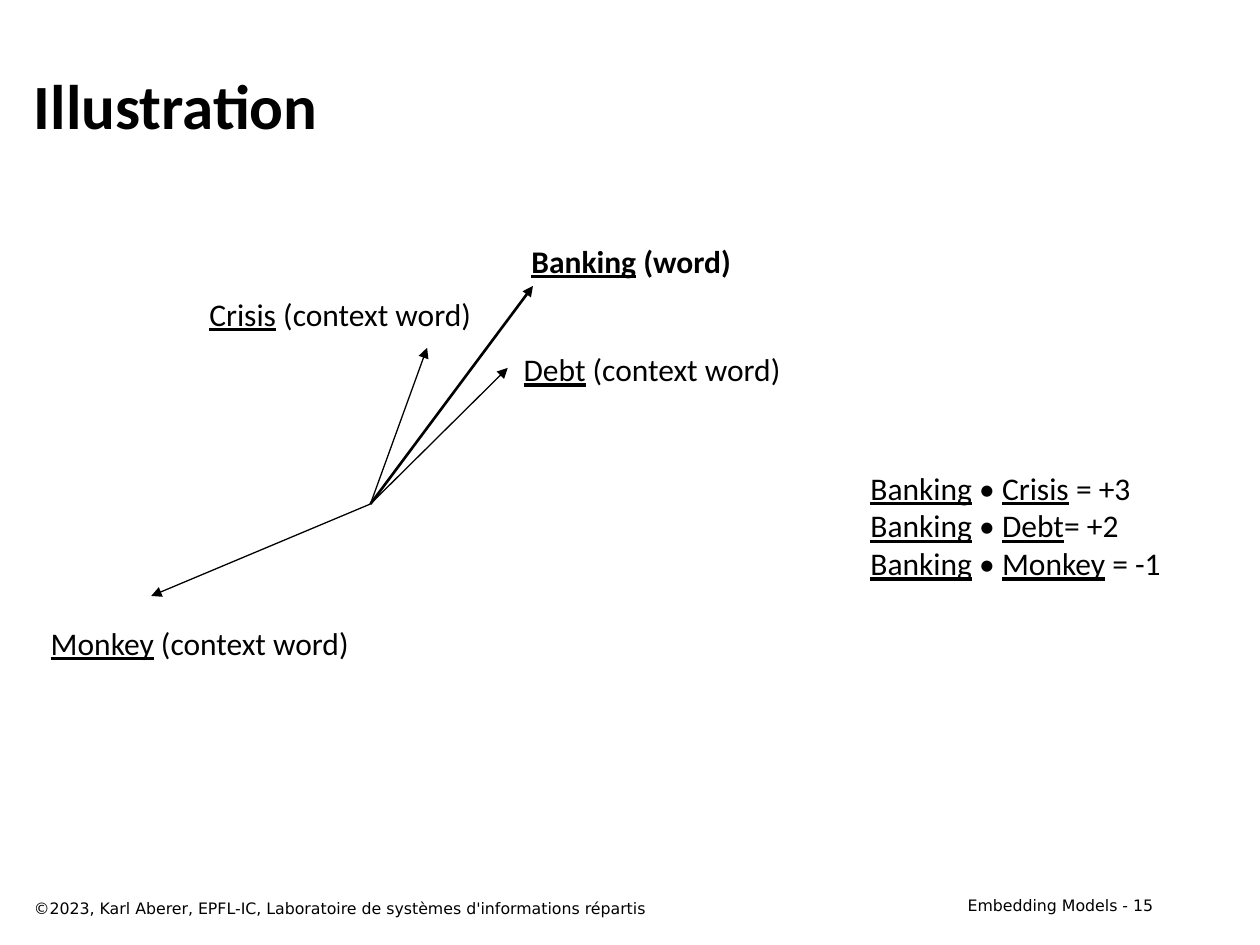
from collections import namedtuple

from lxml import etree
from pptx import Presentation
from pptx import util as u
from pptx.dml.color import RGBColor
from pptx.enum import shapes, text
from pptx.oxml.ns import qn

COLORS = {"ink": "000000", "paper": "FFFFFF"}
HEADING_FONT, FOOTER_FONT = "Calibri", "DejaVu Sans"
COLUMNS, ROWS = 100, 75
CELL = u.Inches(10) // COLUMNS

Box = namedtuple("Box", "left top width height")
Vector = namedtuple("Vector", "word role tip label weight bold")

VECTORS = [
    Vector("Banking", " (word)", (42.3, 4.7), Box(41.1, 0.7, 18, 4), 1.5, True),
    Vector("Debt", " (context word)", (40.3, 11.2), Box(40.4, 9.3, 22.7, 4), 0.75, False),
    Vector("Crisis", " (context word)", (33.9, 9.6), Box(15.5, 4.9, 23, 4), 0.75, False),
    Vector("Monkey", " (context word)", (12, 29.3), Box(2.9, 31, 25.9, 4), 0.75, False),
]
PRODUCTS = [("Crisis", " = +3"), ("Debt", "= +2"), ("Monkey", " = -1")]


def cells(*counts):
    return [u.Emu(round(count * CELL)) for count in counts]


def style(font, size, name=HEADING_FONT, bold=False):
    font.size = u.Pt(size)
    font.name = name
    font.bold = bold
    font.color.rgb = RGBColor.from_string(COLORS["ink"])


def add_text_box(page, box, wrap=True):
    frame = page.shapes.add_textbox(*cells(*box)).text_frame
    frame.word_wrap = wrap
    return frame


def add_line_of_text(page, box, words, size, name=HEADING_FONT, bold=False,
                     align=text.PP_ALIGN.LEFT, anchor=text.MSO_ANCHOR.TOP):
    frame = add_text_box(page, box)
    frame.text = words
    frame.vertical_anchor = anchor
    para = frame.paragraphs[0]
    para.alignment = align
    style(para.runs[0].font, size, name, bold)


def fill_underlined(para, parts, bold=False):
    for index, part in enumerate(parts):
        span = para.add_run()
        span.text = part
        style(span.font, 18, bold=bold)
        span.font.underline = index % 2 == 0


def add_arrow(page, start, tip, weight):
    arrow = page.shapes.add_connector(shapes.MSO_CONNECTOR.STRAIGHT, *cells(*start, *tip))
    arrow.line.color.rgb = RGBColor.from_string(COLORS["ink"])
    arrow.line.width = u.Pt(weight)
    etree.SubElement(arrow.line._get_or_add_ln(), qn("a:tailEnd"), type="triangle")
    etree.SubElement(arrow._element.spPr, qn("a:effectLst"))


def add_vector_diagram(page, box):
    origin = (box.left + 29.4, box.top + 22)
    for vector in VECTORS:
        tip = (box.left + vector.tip[0], box.top + vector.tip[1])
        add_arrow(page, origin, tip, vector.weight)
        label = vector.label._replace(left=box.left + vector.label.left,
                                      top=box.top + vector.label.top)
        para = add_text_box(page, label, wrap=False).paragraphs[0]
        para.alignment = text.PP_ALIGN.CENTER
        fill_underlined(para, (vector.word, vector.role), vector.bold)


def add_products(page, box):
    frame = add_text_box(page, box)
    for index, (word, value) in enumerate(PRODUCTS):
        para = frame.add_paragraph() if index else frame.paragraphs[0]
        fill_underlined(para, ("Banking", " • ", word, value))


def add_footer(page, box):
    add_line_of_text(page, Box(box.left, box.top + 0.2, 64.2, box.height),
                     "©2023, Karl Aberer, EPFL-IC, Laboratoire de systèmes d'informations répartis",
                     9, FOOTER_FONT)
    add_line_of_text(page, Box(box.left + box.width - 29.1, box.top, 29.1, box.height),
                     "Embedding Models - 15", 9, FOOTER_FONT, align=text.PP_ALIGN.RIGHT)


def main():
    deck = Presentation()
    deck.slide_width, deck.slide_height = cells(COLUMNS, ROWS)
    page = deck.slides.add_slide(deck.slide_layouts[6])
    page.background.fill.solid()
    page.background.fill.fore_color.rgb = RGBColor.from_string(COLORS["paper"])
    add_line_of_text(page, Box(1.7, 3.3, 90.8, 10), "Illustration", 36, bold=True,
                     anchor=text.MSO_ANCHOR.MIDDLE)
    add_vector_diagram(page, Box(0, 18, 66, 36))
    add_products(page, Box(68.1, 36.7, 31.9, 22.2))
    add_footer(page, Box(1.7, 70.6, 90.8, 2.5))
    deck.save("out.pptx")


if __name__ == "__main__":
    main()
